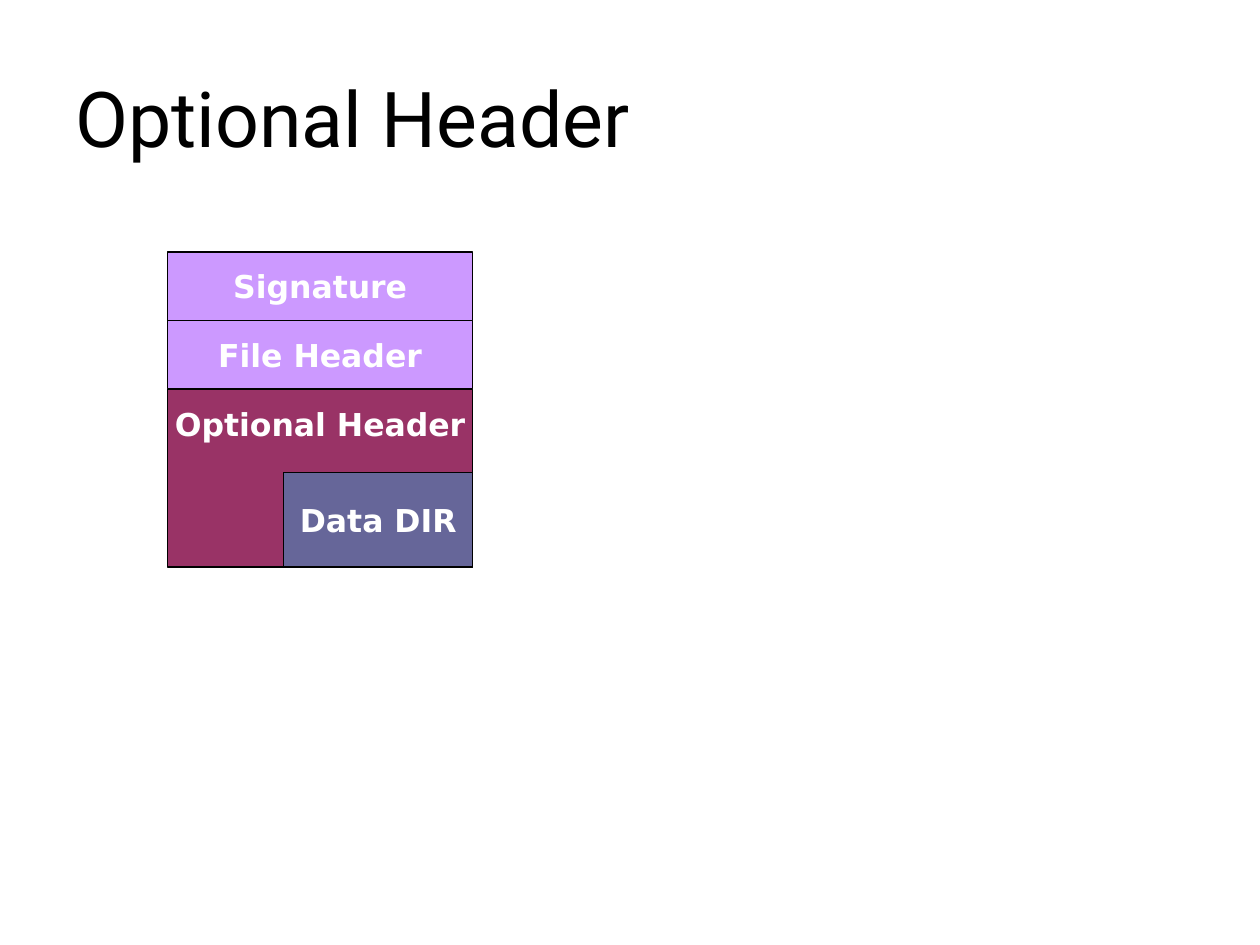
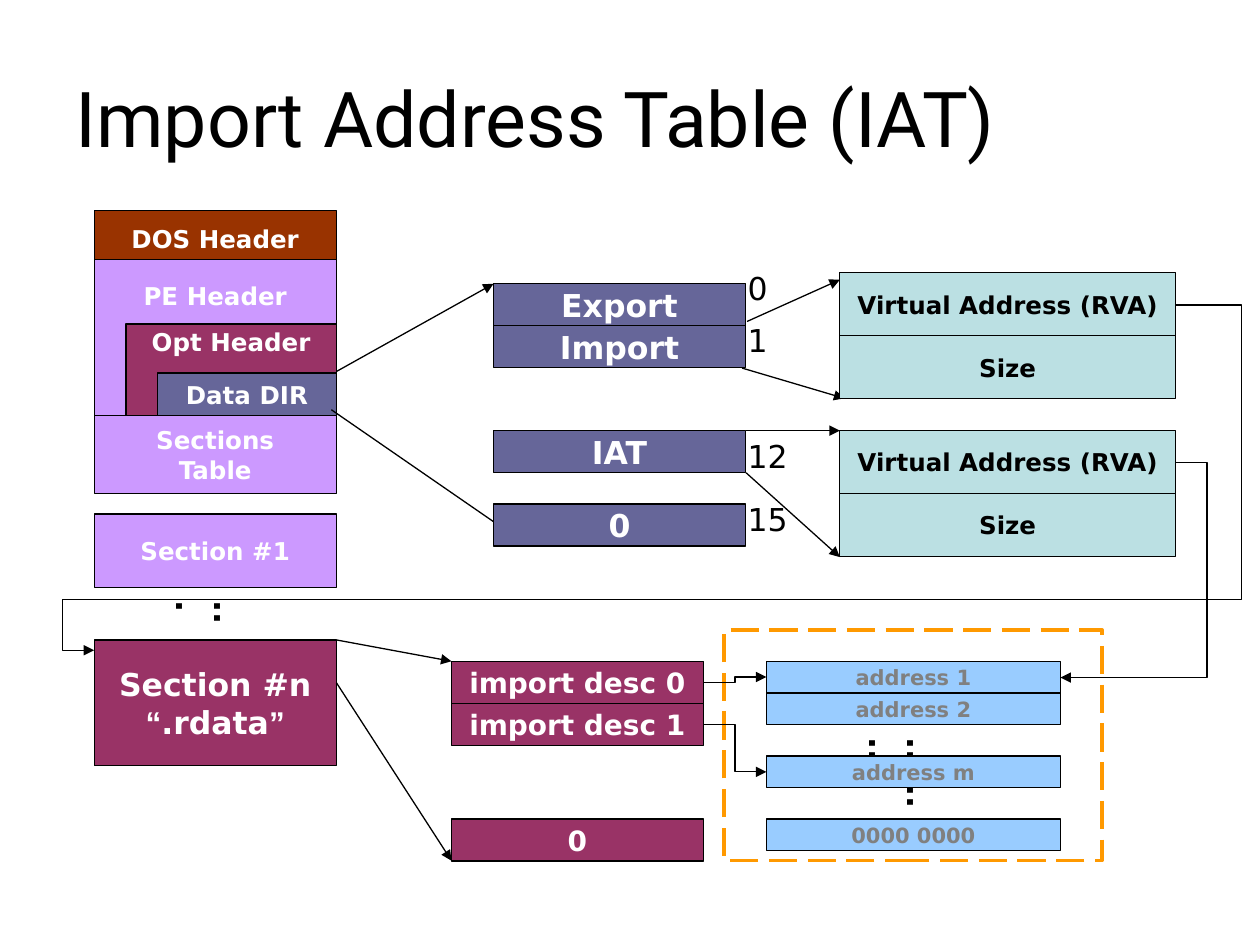
from itertools import groupby

from lxml.etree import SubElement
from pptx import Presentation
from pptx.dml.color import RGBColor
from pptx.enum.dml import MSO_LINE_DASH_STYLE as DASH
from pptx.enum.shapes import MSO_CONNECTOR as CONNECTOR, MSO_SHAPE as SHAPE
from pptx.enum.text import MSO_ANCHOR as ANCHOR, MSO_AUTO_SIZE as AUTO_SIZE, PP_ALIGN as ALIGN
from pptx.oxml.ns import qn
from pptx.util import Cm, Pt

# Shared look
BLACK, WHITE, GREY = "000000", "FFFFFF", "808080"
LILAC, PLUM, SLATE, RUST = "CC99FF", "993366", "666699", "993300"
TEAL, SKY, ORANGE = "BBE0E3", "99CCFF", "FF9900"
TITLE_FONT, LABEL_FONT, QUOTE_FONT = "Roboto", "DejaVu Sans", "Arial"
TITLE_ONLY = 5


def color(value):
    return RGBColor.from_string(value)


def area(left, top, width, height):
    return Cm(left), Cm(top), Cm(width), Cm(height)


def style_line(line, ink=BLACK, width=0.75):
    line.color.rgb = color(ink)
    line.width = Pt(width)


def write(frame, text, size, ink, bold, align):
    """Fill a frame line by line; curly quotes have their own font."""
    for number, words in enumerate(text.split("\n")):
        para = frame.add_paragraph() if number else frame.paragraphs[0]
        para.alignment = align
        for is_quote, letters in groupby(words, lambda letter: letter in "“”"):
            span = para.add_run()
            span.text = "".join(letters)
            span.font.name = QUOTE_FONT if is_quote else LABEL_FONT
            span.font.size = Pt(size)
            span.font.bold = bold
            span.font.color.rgb = color(ink)


def add_page(deck, title):
    page = deck.slides.add_slide(deck.slide_layouts[TITLE_ONLY])
    box = page.shapes.title
    box.left, box.top, box.width, box.height = area(1.27, 0.76, 22.86, 3.18)
    frame = box.text_frame
    frame.text = title
    frame.vertical_anchor = ANCHOR.MIDDLE
    para = frame.paragraphs[0]
    para.alignment = ALIGN.LEFT
    font = para.runs[0].font
    font.name, font.size = TITLE_FONT, Pt(44)
    font.color.rgb = color(BLACK)
    return page


def add_block(page, text, place, fill, size=18, ink=WHITE, head_gap=None):
    """Labelled rectangle; head_gap puts the label that far below the top edge."""
    box = page.shapes.add_shape(SHAPE.RECTANGLE, *area(*place))
    box.shadow.inherit = False
    box.fill.solid()
    box.fill.fore_color.rgb = color(fill)
    style_line(box.line)
    frame = box.text_frame
    frame.word_wrap = False
    frame.vertical_anchor = ANCHOR.MIDDLE
    if head_gap is not None:
        frame.vertical_anchor = ANCHOR.TOP
        frame.margin_top = Cm(head_gap)
    write(frame, text, size, ink, True, ALIGN.CENTER)


def add_rows(page, rows, left, width, height, fill, size, ink=WHITE):
    for text, top in rows:
        add_block(page, text, (left, top, width, height), fill, size, ink)


def add_index(page, text, top):
    box = page.shapes.add_textbox(*area(14.82, top, 1.48, 1.02))
    box.text_frame.word_wrap = True
    write(box.text_frame, text, 18, BLACK, False, ALIGN.LEFT)


def add_dots(page, dots, left, top, height):
    """Ellipsis running downwards."""
    box = page.shapes.add_textbox(*area(left, top, 1.27, height))
    frame = box.text_frame
    frame.word_wrap = True
    frame.auto_size = AUTO_SIZE.SHAPE_TO_FIT_TEXT
    frame.margin_left = frame.margin_right = Cm(0.13)
    frame.margin_top = frame.margin_bottom = Cm(0.25)
    frame._txBody.bodyPr.set("vert", "eaVert")
    write(frame, dots, 18, BLACK, True, ALIGN.LEFT)


def add_arrow(page, start, end, bends=()):
    """Straight arrow, or an elbow whose bends are given in percent."""
    kind = CONNECTOR.ELBOW if bends else CONNECTOR.STRAIGHT
    arrow = page.shapes.add_connector(kind, *(Cm(value) for value in start + end))
    style_line(arrow.line)
    properties = arrow._element.spPr
    SubElement(properties.find(qn("a:ln")), qn("a:tailEnd"), type="triangle")
    SubElement(properties, qn("a:effectLst"))
    if bends:
        geometry = properties.find(qn("a:prstGeom"))
        geometry.set("prst", f"bentConnector{len(bends) + 2}")
        guides = geometry.find(qn("a:avLst"))
        if guides is None:
            guides = SubElement(geometry, qn("a:avLst"))
        for number, percent in enumerate(bends, 1):
            SubElement(guides, qn("a:gd"), name=f"adj{number}",
                       fmla=f"val {round(percent * 1000)}")


def add_dashed_frame(page, place):
    box = page.shapes.add_shape(SHAPE.RECTANGLE, *area(*place))
    box.shadow.inherit = False
    box.fill.background()
    style_line(box.line, ORANGE, 2)
    box.line.dash_style = DASH.LONG_DASH


def build_optional_header(deck):
    page = add_page(deck, "Optional Header")
    add_rows(page, [("Signature", 5.08), ("File Header", 6.46)], 3.38, 6.15, 1.38, LILAC, 18)
    add_block(page, "Optional Header", (3.38, 7.85, 6.15, 3.58), PLUM, head_gap=0.31)
    add_block(page, "Data DIR", (5.72, 9.53, 3.81, 1.9), SLATE)


def build_import_table(deck):
    page = add_page(deck, "Import Address Table (IAT)")
    add_dashed_frame(page, (14.6, 12.7, 7.62, 4.65))

    # File layout column
    left, width = 1.9, 4.88
    add_block(page, "DOS Header", (left, 4.24, width, 1.14), RUST, 14)
    add_block(page, "PE Header", (left, 5.23, width, 3.15), LILAC, 14, head_gap=0.43)
    add_block(page, "Opt Header", (2.54, 6.53, 4.24, 1.85), PLUM, 14, head_gap=0.07)
    add_block(page, "Sections\nTable", (left, 8.38, width, 1.57), LILAC, 14)
    add_block(page, "Data DIR", (3.18, 7.52, 3.6, 0.86), SLATE, 14)
    add_block(page, "Section #1", (left, 10.36, width, 1.48), LILAC, 14)
    add_block(page, "Section #n\n“.rdata”", (left, 12.9, width, 2.54), PLUM)
    add_dots(page, "...", 3.81, 11.85, 1.06)
    add_dots(page, "........", 17.78, 14.61, 2.12)

    # Expansion arrows, below the blocks they reach
    for start, end in [
        ((6.78, 12.9), (9.1, 13.33)), ((6.78, 13.76), (9.1, 17.35)),
        ((6.78, 7.49), (9.95, 5.72)), ((6.68, 8.26), (10.36, 10.8)),
        ((15.06, 6.48), (16.93, 5.64)), ((14.96, 7.42), (17.02, 8.03)),
        ((15.04, 8.68), (16.93, 8.68)), ((15.04, 9.53), (16.93, 11.23)),
    ]:
        add_arrow(page, start, end)

    # Data directory, import descriptors and addresses
    add_rows(page, [("Export", 5.72), ("Import", 6.56), ("IAT", 8.68), ("0", 10.16)],
             9.95, 5.08, 0.85, SLATE, 18)
    for text, top in [("0", 5.29), ("1", 6.35), ("12", 8.68), ("15", 9.95)]:
        add_index(page, text, top)
    for top in (5.5, 8.68):
        add_rows(page, [("Virtual Address (RVA)", top), ("Size", top + 1.27)],
                 16.93, 6.77, 1.27, TEAL, 14, BLACK)
    add_rows(page, [("import desc 0", 13.33), ("import desc 1", 14.18), ("0", 16.51)],
             9.1, 5.08, 0.85, PLUM, 16)
    add_rows(page, [("address 1", 13.33), ("address 2", 13.97),
                    ("address m", 15.24), ("0000 0000", 16.51)],
             15.45, 5.93, 0.64, SKY, 12, GREY)

    # Elbow arrows
    add_arrow(page, (23.7, 6.15), (1.9, 13.11), (-6.1, 85.3, 102.9))
    add_arrow(page, (23.7, 9.32), (21.38, 13.66), (-27.3,))
    add_arrow(page, (14.18, 13.76), (15.45, 13.65), (50,))
    add_arrow(page, (14.18, 14.6), (15.45, 15.56), (50,))


def main():
    deck = Presentation()
    deck.slide_width, deck.slide_height = Cm(25.4), Cm(19.05)
    build_optional_header(deck)
    build_import_table(deck)
    deck.save("out.pptx")


if __name__ == "__main__":
    main()
